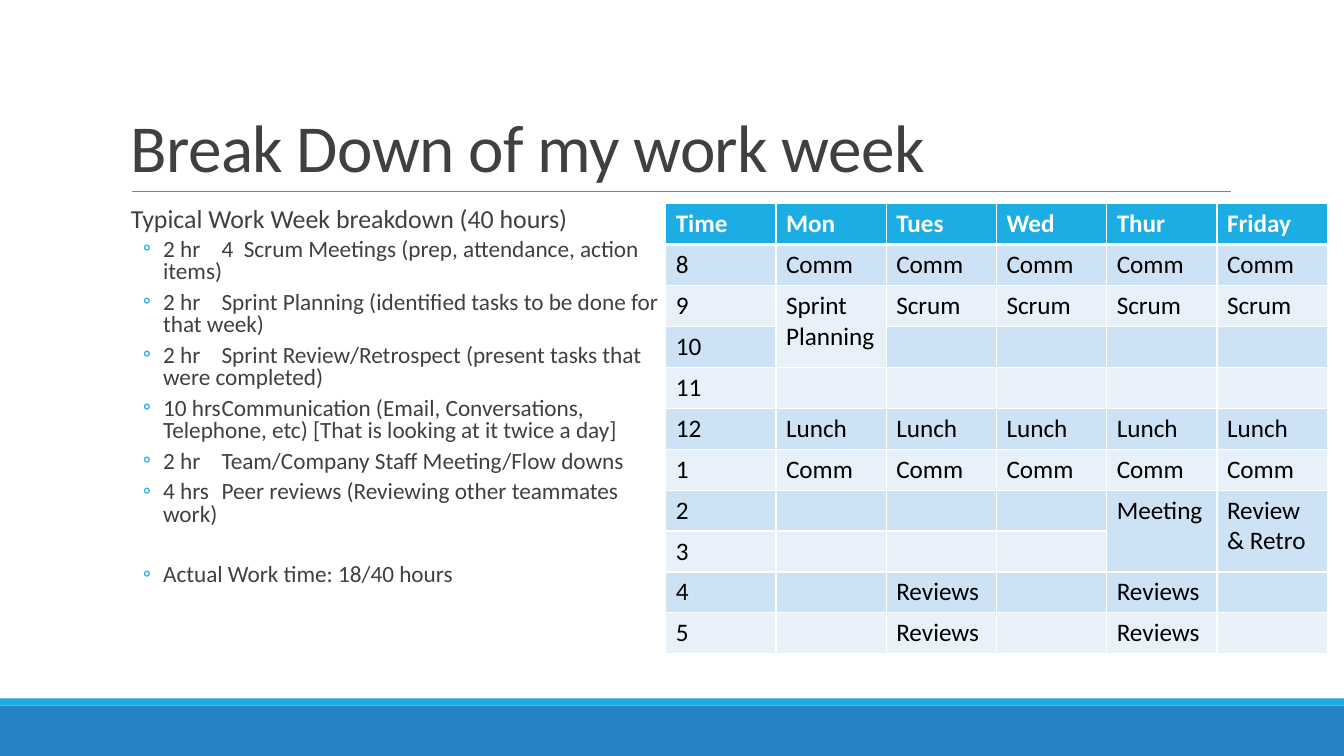
from lxml import etree
from pptx import Presentation
from pptx import util as u
from pptx.dml.color import RGBColor
from pptx.enum import shapes, text
from pptx.oxml.ns import qn

PX = 9525
FONT = "Calibri"
BLUE = RGBColor(0x26, 0x83, 0xC6)
CYAN = RGBColor(0x1C, 0xAD, 0xE4)
GRAY = RGBColor(0x80, 0x80, 0x80)
DARK = RGBColor(0x40, 0x40, 0x40)
BLACK = RGBColor(0, 0, 0)
WHITE = RGBColor(0xFF, 0xFF, 0xFF)
BANDS = [RGBColor(0xE8, 0xF1, 0xFA), RGBColor(0xCD, 0xE3, 0xF5)]

HEADING = "Typical Work Week breakdown (40 hours)"
TASKS = [
    "2 hr\t4  Scrum Meetings (prep, attendance, action items)",
    "2 hr\tSprint Planning (identified tasks to be done for that week)",
    "2 hr\tSprint Review/Retrospect (present tasks that were completed)",
    "10 hrs\tCommunication (Email, Conversations, Telephone, etc) "
    "[That is looking at it twice a day]",
    "2 hr\tTeam/Company Staff Meeting/Flow downs",
    "4 hrs\tPeer reviews (Reviewing other teammates work)",
]
TOTAL = "Actual Work time: 18/40 hours"
WEEK = [
    ["Time", "Mon", "Tues", "Wed", "Thur", "Friday"],
    ["8"] + ["Comm"] * 5,
    ["9", "Sprint Planning"] + ["Scrum"] * 4,
    ["10"] + [""] * 5,
    ["11"] + [""] * 5,
    ["12"] + ["Lunch"] * 5,
    ["1"] + ["Comm"] * 5,
    ["2", "", "", "", "Meeting", "Review & Retro"],
    ["3"] + [""] * 5,
    ["4", "", "Reviews", "", "Reviews", ""],
    ["5", "", "Reviews", "", "Reviews", ""],
]
TWO_HOUR_CELLS = [(2, 1), (7, 4), (7, 5)]
COL_W, ROW_H = 105, 39


def box(*lengths):
    """Turn px lengths into EMU."""
    return [u.Emu(n * PX) for n in lengths]


def add_run(p, words, size, color, bold=False):
    """Add one formatted run to a paragraph."""
    r = p.add_run()
    r.text = words
    r.font.name, r.font.size, r.font.bold = FONT, u.Pt(size), bold
    r.font.color.rgb = color
    return r


def add_bar(s, x, y, w, h, color):
    """Add a plain filled bar."""
    sp = s.shapes.add_shape(shapes.MSO_SHAPE.RECTANGLE, *box(x, y, w, h))
    sp.shadow.inherit = False
    sp.fill.solid()
    sp.fill.fore_color.rgb = color
    sp.line.fill.background()


def add_rule(s, x1, y1, x2, y2):
    """Add the thin line under the title."""
    sp = s.shapes.add_connector(shapes.MSO_CONNECTOR.STRAIGHT, *box(x1, y1, x2, y2))
    sp.line.color.rgb = GRAY
    sp.line.width = u.Pt(0.5)
    etree.SubElement(sp._element.spPr, qn("a:effectLst"))


def set_title(s, words):
    """Place and fill the title placeholder."""
    sp = s.shapes.title
    sp.left, sp.top, sp.width, sp.height = box(115, 30, 1056, 152)
    tf = sp.text_frame
    tf.vertical_anchor = text.MSO_ANCHOR.BOTTOM
    tf.auto_size = text.MSO_AUTO_SIZE.NONE
    p = tf.paragraphs[0]
    p.alignment = text.PP_ALIGN.LEFT
    p.line_spacing = 0.85
    r = add_run(p, words, 48, DARK)
    r.font._element.set("spc", "-50")


def set_bullet(p, char, left, hang):
    """Give a paragraph a hanging bullet and a tab stop at one inch."""
    pPr = p._p.get_or_add_pPr()
    pPr.set("marL", str(u.Inches(left)))
    pPr.set("indent", str(-u.Inches(hang)))
    color = etree.SubElement(pPr, qn("a:buClr"))
    etree.SubElement(color, qn("a:srgbClr"), val=str(CYAN))
    etree.SubElement(pPr, qn("a:buFont"), typeface=FONT)
    etree.SubElement(pPr, qn("a:buChar"), char=char)
    tabs = etree.SubElement(pPr, qn("a:tabLst"))
    etree.SubElement(tabs, qn("a:tab"), pos=str(u.Inches(1)), algn="l")


def add_item(p, words, size, before, after, char, left, hang):
    """Fill one paragraph of the breakdown list."""
    p.line_spacing = 0.8
    p.space_before, p.space_after = u.Pt(before), u.Pt(after)
    set_bullet(p, char, left, hang)
    add_run(p, words, size, DARK)


def add_breakdown(s):
    """Add the list of weekly hours."""
    tf = s.shapes.add_textbox(*box(115, 194, 518, 422)).text_frame
    tf.word_wrap = True
    tf.margin_left = tf.margin_right = 0
    add_item(tf.paragraphs[0], HEADING, 18.5, 12, 2, " ", 0.1, 0.1)
    for words in TASKS:
        add_item(tf.add_paragraph(), words, 16.6, 2, 4, "◦", 0.42, 0.2)
    add_item(tf.add_paragraph(), TOTAL, 16.6, 23.5, 4, "◦", 0.42, 0.2)


def set_borders(cell, bottom):
    """Draw white cell borders with a given bottom width."""
    tcPr = cell._tc.get_or_add_tcPr()
    widths = {"a:lnL": 1, "a:lnR": 1, "a:lnT": 1, "a:lnB": bottom}
    for i, (tag, width) in enumerate(widths.items()):
        ln = etree.Element(qn(tag), w=str(u.Pt(width)))
        fill = etree.SubElement(ln, qn("a:solidFill"))
        etree.SubElement(fill, qn("a:srgbClr"), val=str(WHITE))
        tcPr.insert(i, ln)


def add_week(s):
    """Add the timetable."""
    rows, cols = len(WEEK), len(WEEK[0])
    frame = s.shapes.add_table(rows, cols, *box(634, 194, cols * COL_W, rows * ROW_H))
    table = frame.table
    for i, row in enumerate(WEEK):
        header = i == 0
        for j, words in enumerate(row):
            cell = table.cell(i, j)
            cell.fill.solid()
            cell.fill.fore_color.rgb = CYAN if header else BANDS[i % 2]
            set_borders(cell, 3 if header else 1)
            if words:
                add_run(cell.text_frame.paragraphs[0], words, 18,
                        WHITE if header else BLACK, header)
    for i, j in TWO_HOUR_CELLS:
        table.cell(i, j).merge(table.cell(i + 1, j))


def main():
    """Build the slide and save it."""
    prs = Presentation()
    prs.slide_width, prs.slide_height = box(1280, 720)
    s = prs.slides.add_slide(prs.slide_layouts[5])
    add_bar(s, 0, 672, 1280, 48, BLUE)
    add_bar(s, 0, 665, 1280, 7, CYAN)
    add_rule(s, 126, 182, 1172, 182)
    set_title(s, "Break Down of my work week")
    add_breakdown(s)
    add_week(s)
    prs.save("out.pptx")


if __name__ == "__main__":
    main()
